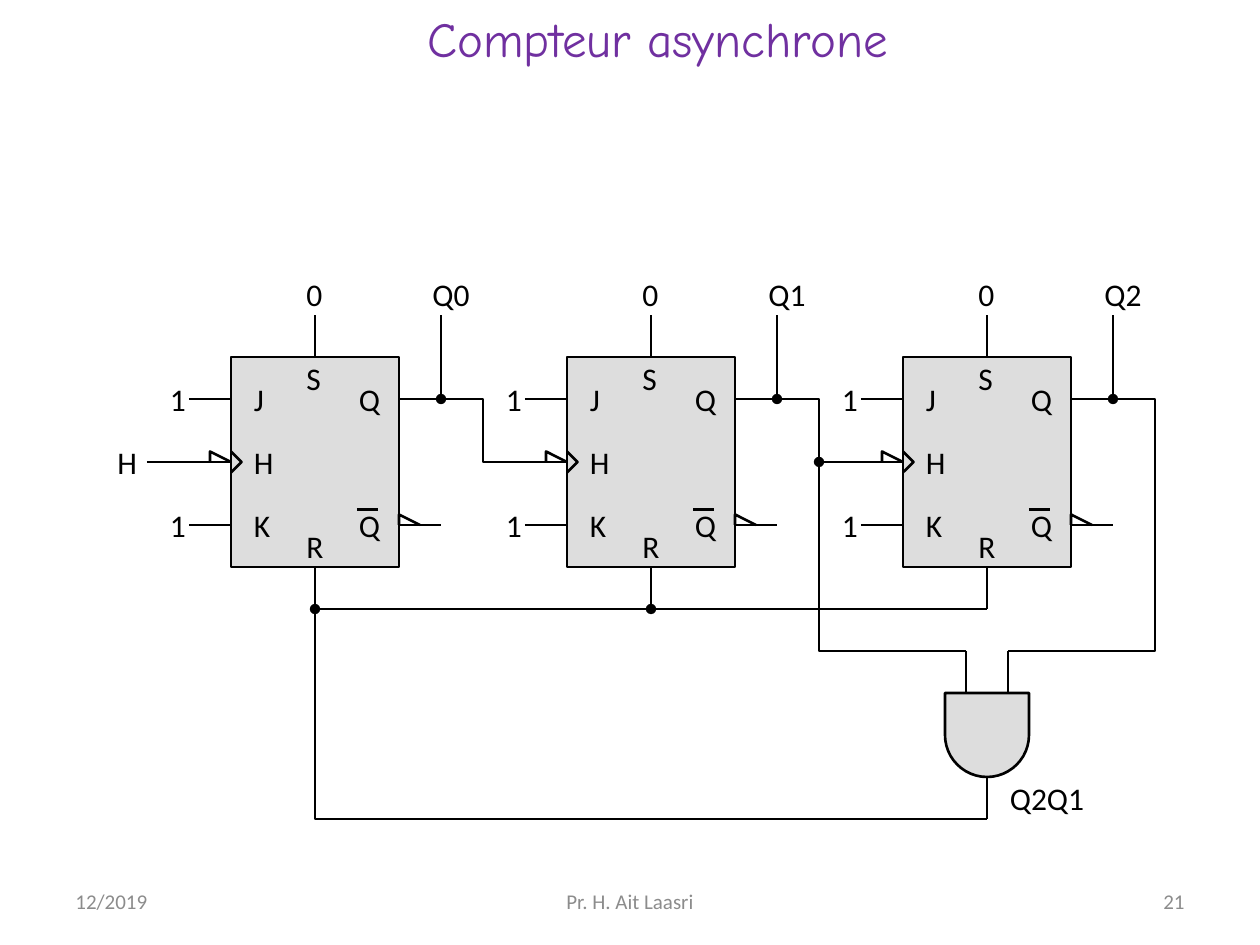
from lxml.etree import SubElement
from pptx import Presentation
from pptx.dml.color import RGBColor
from pptx.enum.shapes import MSO_SHAPE
from pptx.enum.text import MSO_ANCHOR, PP_ALIGN
from pptx.oxml.ns import qn
from pptx.util import Inches, Pt

presentation = Presentation()
presentation.slide_width, presentation.slide_height = Inches(10), Inches(7.5)
slide = presentation.slides.add_slide(presentation.slide_layouts[5])
shapes = slide.shapes
unit = presentation.slide_width // 60
color = RGBColor.from_string


def label(text, left, top, width=2, height=2, size=18, fill="000000",
          align=PP_ALIGN.LEFT, wrap=False):
    shape = shapes.add_textbox(*(round(value * unit) for value in (left, top, width, height)))
    frame = shape.text_frame
    frame.word_wrap = wrap
    frame.vertical_anchor = MSO_ANCHOR.MIDDLE
    frame.text = text
    paragraph = frame.paragraphs[0]
    paragraph.alignment = align
    font = paragraph.runs[0].font
    font.name, font.size, font.color.rgb = "Calibri", Pt(size), color(fill)


def wire(*points, dot=None):
    points = [(round(x * unit), round(y * unit)) for x, y in points]
    if len(points) == 2:
        shape = shapes.add_connector(1, *points[0], *points[1])
        SubElement(shape._element.spPr, qn("a:effectLst"))
    else:
        builder = shapes.build_freeform(*points[0])
        builder.add_line_segments(points[1:], close=False)
        shape = builder.convert_to_shape()
        shape.fill.background()
        shape.shadow.inherit = False
    shape.line.color.rgb = color("000000")
    shape.line.width = Pt(1.5)
    if dot:
        SubElement(shape.line._get_or_add_ln(), qn(f"a:{dot}End"), type="oval")


title = shapes.title
title.left, title.top, title.width, title.height = map(Inches, (0.72, 0.02, 9, 0.99))
title.text_frame.text = "Compteur asynchrone"
title.text_frame.vertical_anchor = MSO_ANCHOR.TOP
paragraph = title.text_frame.paragraphs[0]
paragraph.alignment = PP_ALIGN.CENTER
font = paragraph.runs[0].font
font.name, font.size, font.color.rgb = "Comic Neue", Pt(28), color("7030A0")

block_top, block_bottom, block_width, pitch = 17, 27, 8, 16
row_j, row_clock, row_k = 19, 22, 25
row_reset, row_gate, row_return = 29, 31, 39

blocks = [(MSO_SHAPE.RECTANGLE, 11 + index * pitch, block_top, block_width,
           block_bottom - block_top, 0) for index in range(3)]
blocks.append((MSO_SHAPE.FLOWCHART_DELAY, 45, 33, 4, 4, 90))
for kind, left, top, width, height, rotation in blocks:
    shape = shapes.add_shape(kind, left * unit, top * unit, width * unit, height * unit)
    shape.rotation = rotation
    shape.shadow.inherit = False
    shape.fill.solid()
    shape.fill.fore_color.rgb = color("DDDDDD")
    shape.line.color.rgb = color("000000")
    shape.line.width = Pt(1.5)

for index in range(3):
    left = 11 + index * pitch
    right, center = left + block_width, left + block_width / 2
    for name, row in (("J", row_j), ("H", row_clock), ("K", row_k)):
        wire((left - 2, row), (left, row))
        label(name, left + 0.5, row - 1)
    for row in (row_j, row_k):
        wire((right, row), (right + 2, row))
        label("Q", right - 2.5, row - 1)
        label("1", left - 3.5, row - 1)
    wire((right - 2, row_k - 0.75), (right - 1, row_k - 0.75))
    wire((left, row_clock - 0.5), (left + 0.5, row_clock), (left, row_clock + 0.5))
    wire((left, row_clock), (left - 1, row_clock - 0.5), (left - 1, row_clock))
    wire((right, row_k), (right, row_k - 0.5), (right + 1, row_k))
    label("S", center - 1, block_top)
    label("R", center - 1, block_bottom - 2)
    label("0", center - 1, 13)
    wire((center, block_top), (center, 15))
    wire((center, row_reset), (center, block_bottom))
    label(f"Q{index}", right + 1, 13, 3.5)
    wire((right + 2, row_j), (right + 2, 15), dot="head")

for start in (21, 37):
    wire((start, row_j), (start + 2, row_j), (start + 2, row_clock), (start + 4, row_clock))

label("H", 5, row_clock - 1)
wire((7, row_clock), (9, row_clock))

wire((47, row_return), (15, row_return), (15, row_reset), dot="tail")
wire((15, row_reset), (31, row_reset), dot="tail")
wire((31, row_reset), (47, row_reset))

for column in (46, 48):
    wire((column, row_gate), (column, 33))
wire((47, 37), (47, row_return))
wire((53, row_j), (55, row_j), (55, row_gate), (48, row_gate))
wire((39, row_clock), (39, row_gate), (46, row_gate), dot="head")
label("Q2Q1", 47.5, 37, 5.5)

for text, left, width, align in (("12/2019", 3, 14, PP_ALIGN.LEFT),
                                 ("Pr. H. Ait Laasri", 20.5, 19, PP_ALIGN.CENTER),
                                 ("21", 43, 14, PP_ALIGN.RIGHT)):
    label(text, left, 41.7, width, 2.4, 12, "8C8C8C", align, True)

presentation.save("out.pptx")
